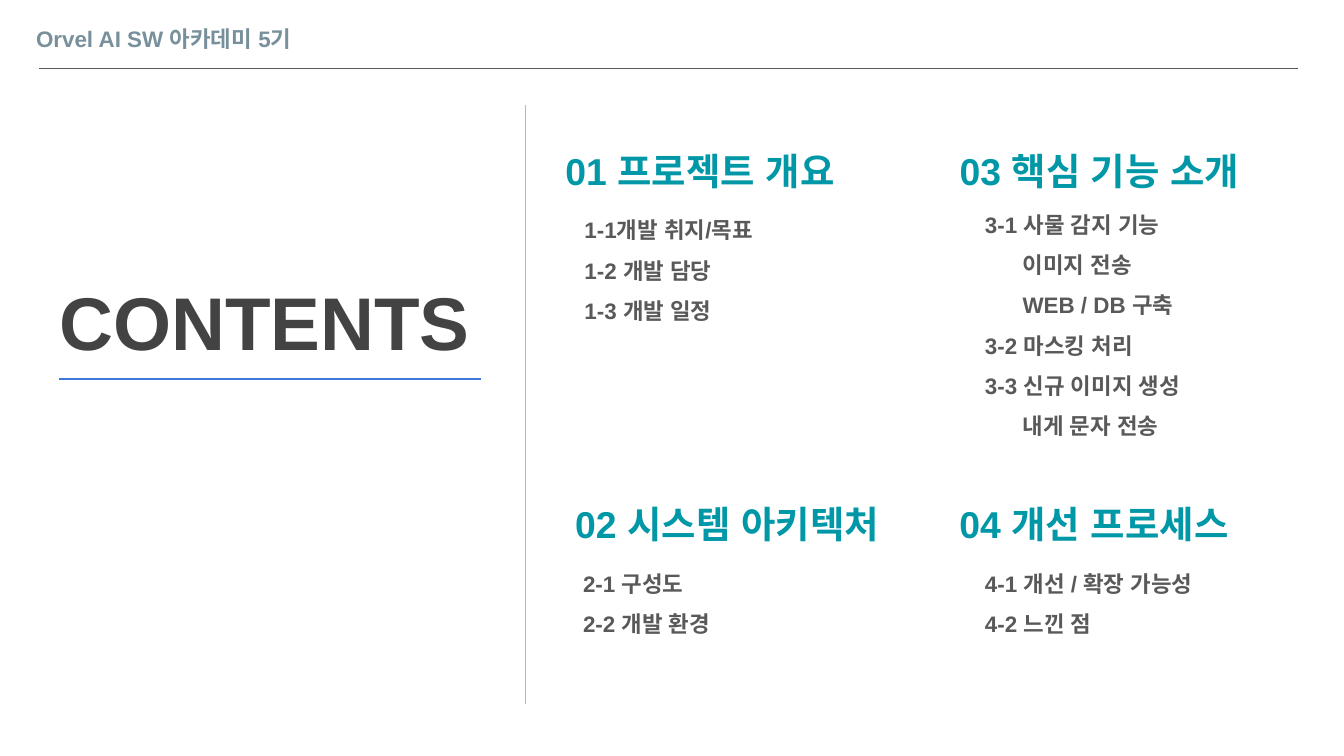
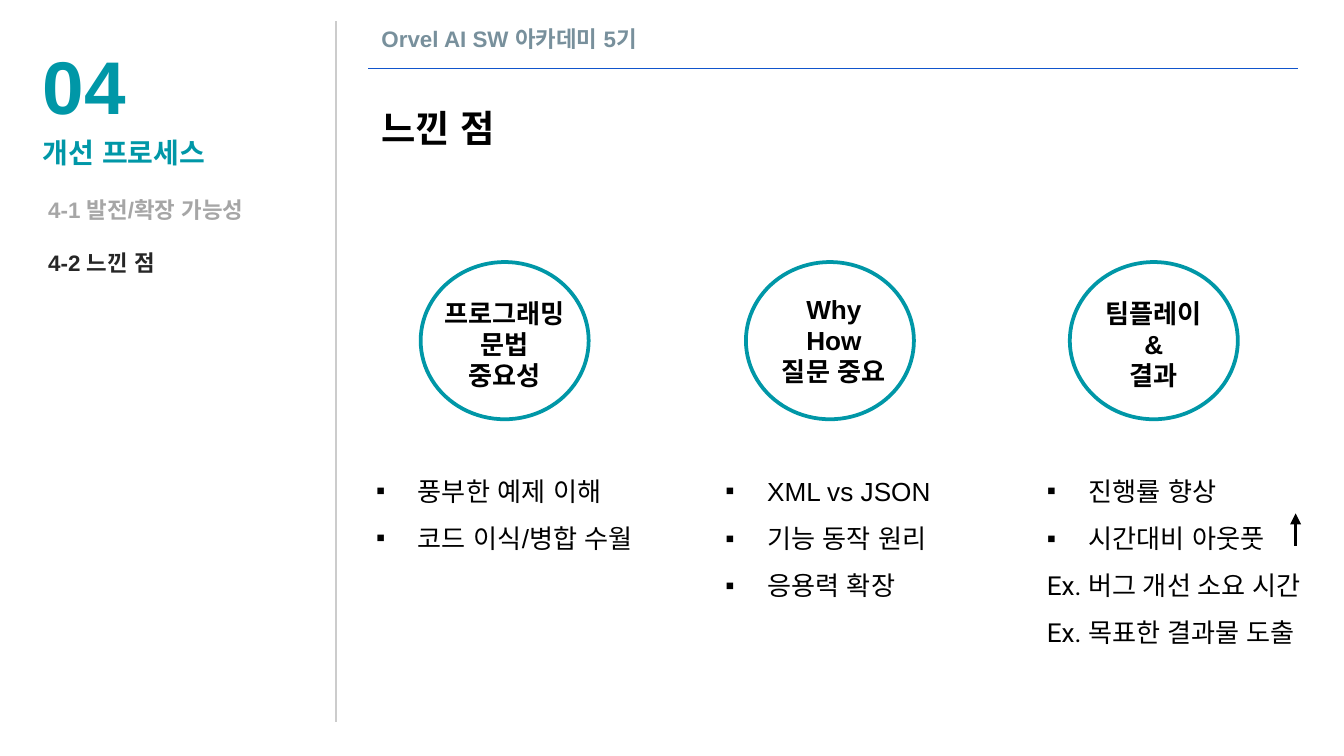
from typing import NamedTuple

from pptx import Presentation
from pptx.dml.color import RGBColor
from pptx.enum.shapes import MSO_CONNECTOR as Connector, MSO_SHAPE as Preset
from pptx.enum.text import MSO_AUTO_SIZE as AutoSize, PP_ALIGN as Align
from pptx.oxml.ns import qn
from pptx.slide import Slide
from pptx.util import Emu, Pt
from lxml.etree import SubElement

# Shared style: 100 px to the inch
EMU_PER_PX = 9144
SLIDE_WIDTH = 1000
TEAL, BLACK, GRAY, HEADER_GRAY = "0097A7", "000000", "595959", "78909C"
COURSE = "Orvel AI SW 아카데미 5기"
WIDE_INSETS = (10, 10)
SLIM_INSETS = (10, 5)
SUB_INDENT = 28
BULLET_INDENT = 31


class Box(NamedTuple):
    left: int
    top: int
    width: int
    height: int


class Line(NamedTuple):
    text: str
    color: str = ""
    font: str = "Arial"
    bullet: bool = False
    indent: int = 0


class Chapter(NamedTuple):
    title: str
    title_box: Box
    title_align: Align
    items: list[Line]
    items_box: Box
    items_align: Align


class Lesson(NamedTuple):
    circle_left: int
    label_box: Box
    label: list[Line]
    points_box: Box
    points: list[Line]


def px(length: int) -> Emu:
    return Emu(length * EMU_PER_PX)


def rgb(value: str) -> RGBColor:
    return RGBColor.from_string(value)


def lines(*texts: str, bullet: bool = False) -> list[Line]:
    return [Line(text, bullet=bullet) for text in texts]


def set_indent(paragraph, line: Line) -> None:
    props = paragraph._p.get_or_add_pPr()
    if line.bullet:
        props.set("marL", str(px(BULLET_INDENT)))
        props.set("indent", str(px(-BULLET_INDENT)))
        bullet_color = SubElement(props, qn("a:buClr"))
        SubElement(bullet_color, qn("a:srgbClr"), val=BLACK)
        SubElement(props, qn("a:buFont"), typeface="Arial")
        SubElement(props, qn("a:buChar"), char="▪")
    elif line.indent:
        props.set("marL", str(px(line.indent)))
        props.set("indent", "0")


def add_text(slide: Slide, box: Box, content: list[Line], *, size: int,
             color: str = BLACK, bold: bool = True, align: Align = Align.LEFT,
             spacing: float = 1.0, gap: float = 0, wrap: bool = True,
             grow: bool = False, insets: tuple[int, int] = WIDE_INSETS) -> None:
    frame = slide.shapes.add_textbox(*map(px, box)).text_frame
    frame.word_wrap = wrap
    frame.auto_size = AutoSize.SHAPE_TO_FIT_TEXT if grow else AutoSize.NONE
    frame.margin_left = frame.margin_right = px(insets[0])
    frame.margin_top = frame.margin_bottom = px(insets[1])
    for index, line in enumerate(content):
        paragraph = frame.add_paragraph() if index else frame.paragraphs[0]
        set_indent(paragraph, line)
        paragraph.alignment = align
        paragraph.line_spacing = spacing
        if index and gap:
            paragraph.space_before = Pt(gap)
        run = paragraph.add_run()
        run.text = line.text
        font = run.font
        font.name, font.size, font.bold = line.font, Pt(size), bold
        font.color.rgb = rgb(line.color or color)
        SubElement(run._r.get_or_add_rPr(), qn("a:ea"), typeface=line.font)


def add_rule(slide: Slide, start: tuple[int, int], end: tuple[int, int],
             color: str, width: float = 0.75, arrow: bool = False) -> None:
    rule = slide.shapes.add_connector(
        Connector.STRAIGHT, *map(px, start), *map(px, end))
    rule.line.color.rgb = rgb(color)
    rule.line.width = Pt(width)
    if arrow:
        SubElement(rule.line._get_or_add_ln(), qn("a:tailEnd"), type="triangle")
    SubElement(rule._element.spPr, qn("a:effectLst"))


def add_circle(slide: Slide, box: Box) -> None:
    circle = slide.shapes.add_shape(Preset.OVAL, *map(px, box))
    circle.shadow.inherit = False
    circle.fill.background()
    circle.line.color.rgb = rgb(TEAL)
    circle.line.width = Pt(2)


def add_header(slide: Slide, text_left: int, rule_left: int, width: int,
               rule_color: str) -> None:
    add_text(slide, Box(text_left, 9, width, 33), [Line(COURSE)],
             size=12, color=HEADER_GRAY)
    add_rule(slide, (rule_left, 51), (966, 51), rule_color)


# Contents slide
CHAPTERS = [
    Chapter("01 프로젝트 개요", Box(391, 100, 240, 54), Align.RIGHT,
            lines("1-1개발 취지/목표", "1-2 개발 담당", "1-3 개발 일정"),
            Box(425, 141, 158, 54), Align.JUSTIFY),
    Chapter("03 핵심 기능 소개", Box(679, 100, 253, 54), Align.RIGHT,
            [Line("3-1 사물 감지 기능"),
             Line("이미지 전송", indent=SUB_INDENT),
             Line("WEB / DB 구축", indent=SUB_INDENT),
             Line("3-2 마스킹 처리"),
             Line("3-3 신규 이미지 생성"),
             Line("내게 문자 전송", indent=SUB_INDENT)],
            Box(723, 137, 232, 180), Align.LEFT),
    Chapter("02 시스템 아키텍처", Box(391, 363, 273, 54), Align.RIGHT,
            lines("2-1 구성도", "2-2 개발 환경"),
            Box(424, 404, 187, 95), Align.JUSTIFY),
    Chapter("04 개선 프로세스", Box(704, 363, 240, 54), Align.LEFT,
            lines("4-1 개선 / 확장 가능성", "4-2 느낀 점"),
            Box(723, 404, 187, 95), Align.JUSTIFY),
]


def build_contents(slide: Slide) -> None:
    add_header(slide, 17, 29, 426, GRAY)
    add_text(slide, Box(-5, 195, 404, 79), [Line("CONTENTS")],
             size=40, color="434343", align=Align.CENTER)
    add_rule(slide, (44, 282), (358, 282), "3C78D8", 1.5)
    add_rule(slide, (391, 78), (391, 524), "B7B7B7")
    for chapter in CHAPTERS:
        add_text(slide, chapter.title_box, [Line(chapter.title)],
                 size=20, color=TEAL, align=chapter.title_align)
        add_text(slide, chapter.items_box, chapter.items, size=12, color=GRAY,
                 align=chapter.items_align, spacing=1.5)


# Lessons slide
LESSONS = [
    Lesson(313, Box(313, 216, 125, 81), lines("프로그래밍", "문법", "중요성"),
           Box(270, 337, 225, 76),
           lines("풍부한 예제 이해", "코드 이식/병합 수월", bullet=True)),
    Lesson(555, Box(558, 213, 125, 81), lines("Why", "How", "질문 중요"),
           Box(530, 337, 180, 112),
           lines("XML vs JSON", "기능 동작 원리", "응용력 확장", bullet=True)),
    Lesson(796, Box(796, 216, 125, 81), lines("팀플레이", "&", "결과"),
           Box(769, 337, 218, 148),
           lines("진행률 향상", "시간대비 아웃풋", bullet=True)
           + [Line("Ex. 버그 개선 소요 시간", font="Roboto"),
              Line("Ex. 목표한 결과물 도출", font="Roboto")]),
]


def build_lessons(slide: Slide) -> None:
    add_header(slide, 274, 274, 224, "1155CC")
    add_rule(slide, (250, 16), (250, 537), "CCCCCC")

    # Chapter sidebar
    add_text(slide, Box(22, 20, 83, 81), [Line("04")], size=40, color=TEAL)
    add_text(slide, Box(26, 136, 189, 163),
             [Line("4-1 발전/확장 가능성", "A6A6A6"), Line("4-2 느낀 점", "262626")],
             size=12, align=Align.JUSTIFY, gap=14)
    add_text(slide, Box(22, 91, 151, 38), [Line("개선 프로세스")],
             size=15, color=TEAL)

    # Title and the three lessons
    add_text(slide, Box(274, 68, 368, 49), [Line("느낀 점")], size=20)
    for lesson in LESSONS:
        add_circle(slide, Box(lesson.circle_left, 195, 125, 117))
        add_text(slide, lesson.label_box, lesson.label, size=14,
                 align=Align.CENTER, grow=True, insets=SLIM_INSETS)
        add_text(slide, lesson.points_box, lesson.points, size=14, bold=False,
                 spacing=1.5, wrap=False, grow=True, insets=SLIM_INSETS)
    add_rule(slide, (964, 406), (964, 382), BLACK, 1.5, arrow=True)


def main() -> None:
    deck = Presentation()
    # Widescreen, 16:9
    deck.slide_width = px(SLIDE_WIDTH)
    deck.slide_height = Emu(px(SLIDE_WIDTH) * 9 // 16)
    for build in (build_contents, build_lessons):
        build(deck.slides.add_slide(deck.slide_layouts[6]))
    deck.save("out.pptx")


if __name__ == "__main__":
    main()
